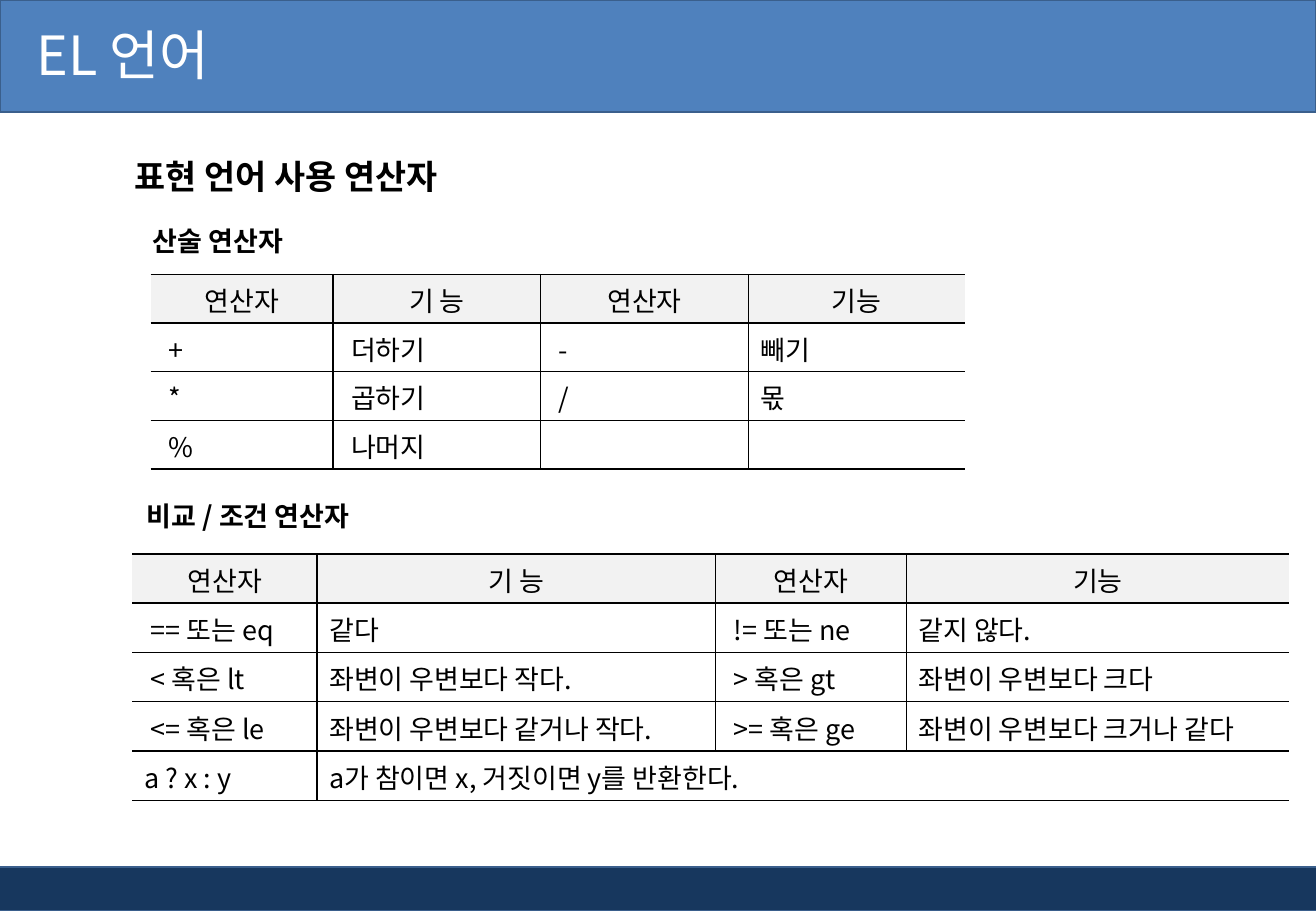
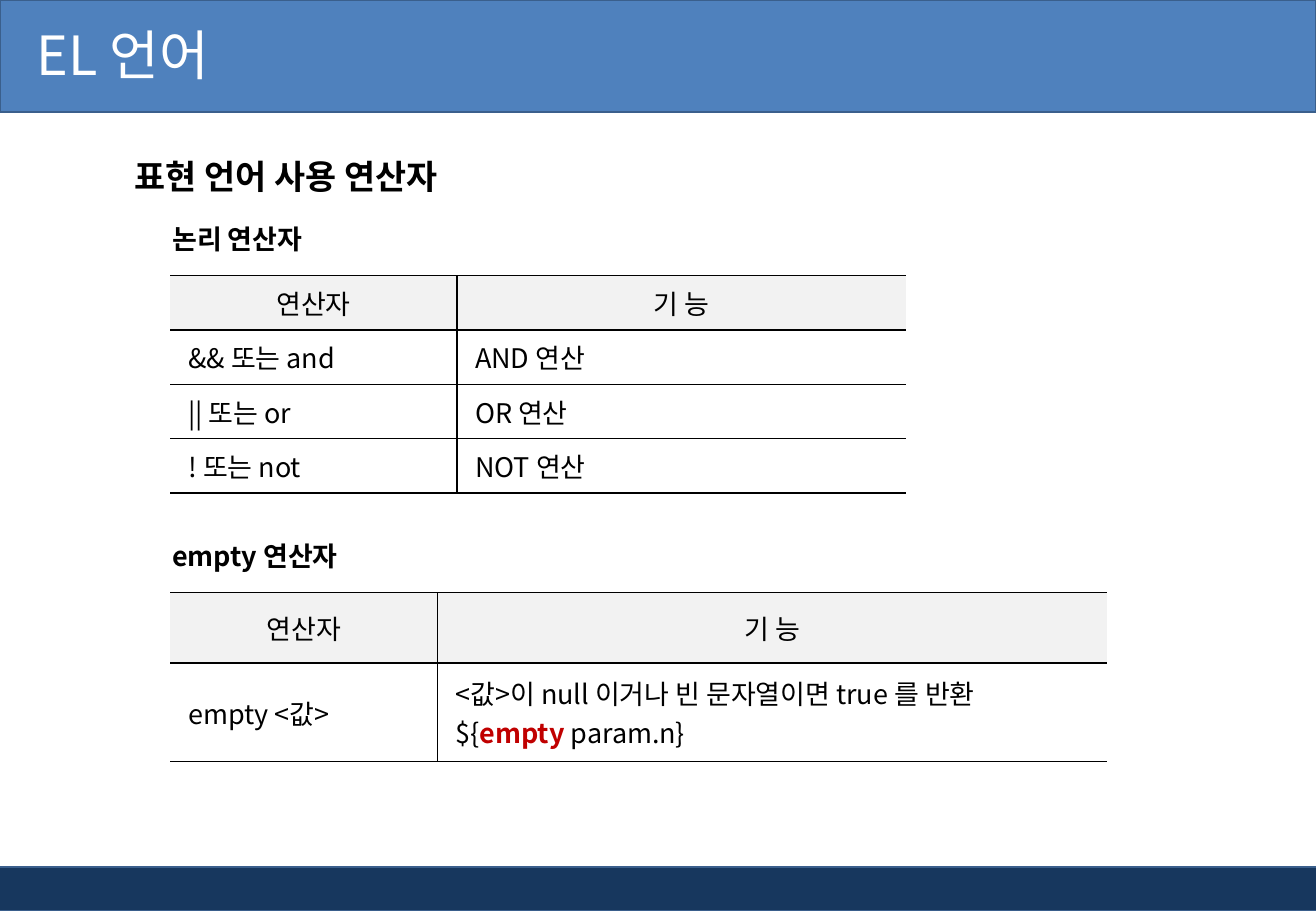
from lxml import etree
from pptx import Presentation
from pptx.dml.color import RGBColor
from pptx.enum.shapes import MSO_SHAPE
from pptx.enum.text import MSO_ANCHOR, MSO_AUTO_SIZE, PP_ALIGN
from pptx.oxml.ns import qn
from pptx.util import Inches, Pt

RECTANGLE = MSO_SHAPE.RECTANGLE
MIDDLE = MSO_ANCHOR.MIDDLE
TOP = MSO_ANCHOR.TOP
CENTER = PP_ALIGN.CENTER
LEFT = PP_ALIGN.LEFT
FIT_SHAPE = MSO_AUTO_SIZE.SHAPE_TO_FIT_TEXT

BLUE = RGBColor(0x4F, 0x81, 0xBD)
NAVY = RGBColor(0x17, 0x37, 0x5E)
OUTLINE = RGBColor(0x3A, 0x5F, 0x8C)
WHITE = RGBColor(0xFF, 0xFF, 0xFF)
BLACK = RGBColor(0x00, 0x00, 0x00)
RED = RGBColor(0xC0, 0x00, 0x00)
HEADER_GRAY = RGBColor(0xF2, 0xF2, 0xF2)

FONT = "Noto Sans CJK KR"
BODY_SIZE = 16
MARGIN = 0.1
INDENT = 0.15


def format_run(run, size=BODY_SIZE, color=BLACK, bold=False):
    """Give a run its Latin and East Asian font, size, colour and weight."""
    font = run.font
    font.size = Pt(size)
    font.bold = bold
    font.color.rgb = color
    font.name = FONT
    latin = run._r.get_or_add_rPr().find(qn("a:latin"))
    east_asian = etree.Element(qn("a:ea"), typeface=FONT)
    latin.addnext(east_asian)


def add_band(slide, box, color):
    """Draw a full-width outlined band."""
    band = slide.shapes.add_shape(RECTANGLE, *map(Inches, box))
    band.shadow.inherit = False
    band.fill.solid()
    band.fill.fore_color.rgb = color
    band.line.color.rgb = OUTLINE
    band.line.width = Pt(1)


def add_text(slide, box, text, size=BODY_SIZE, color=BLACK, bold=True,
             spacing=None, anchor=TOP, left_margin=MARGIN):
    """Add a one-line text box."""
    text_frame = slide.shapes.add_textbox(*map(Inches, box)).text_frame
    text_frame.word_wrap = True
    text_frame.vertical_anchor = anchor
    text_frame.margin_left = Inches(left_margin)
    if anchor == TOP:
        text_frame.auto_size = FIT_SHAPE
    text_frame.text = text
    paragraph = text_frame.paragraphs[0]
    if spacing:
        paragraph.line_spacing = spacing
    format_run(paragraph.runs[0], size, color, bold)


def set_borders(cell, has_left, has_right):
    """Rule the top and bottom of a cell and the chosen sides."""
    properties = cell._tc.get_or_add_tcPr()
    edges = {"L": has_left, "R": has_right, "T": True, "B": True}
    for edge, visible in edges.items():
        line = etree.SubElement(properties, qn(f"a:ln{edge}"), w=str(Pt(1)))
        if visible:
            fill = etree.SubElement(line, qn("a:solidFill"))
            etree.SubElement(fill, qn("a:srgbClr"), val=str(BLACK))
        else:
            etree.SubElement(line, qn("a:noFill"))


def add_operator_table(slide, left, top, widths, heights, rows, indented):
    """Add a ruled table whose short rows stretch their last cell to the edge."""
    column_count = len(widths)
    frame = slide.shapes.add_table(
        len(rows), column_count, Inches(left), Inches(top),
        Inches(sum(widths)), Inches(sum(heights)))
    table = frame.table
    for column, width in zip(table.columns, widths):
        column.width = Inches(width)
    for row, height in zip(table.rows, heights):
        row.height = Inches(height)
    for row_index, texts in enumerate(rows):
        if len(texts) < column_count:
            table.cell(row_index, len(texts) - 1).merge(
                table.cell(row_index, column_count - 1))
        for column_index in range(column_count):
            cell = table.cell(row_index, column_index)
            spanned = cell.is_spanned
            end = column_index + cell.span_width
            set_borders(cell, column_index > 0 and not spanned,
                        end < column_count and not spanned)
            is_header = row_index == 0
            if is_header:
                cell.fill.solid()
                cell.fill.fore_color.rgb = HEADER_GRAY
            else:
                cell.fill.background()
            cell.vertical_anchor = MIDDLE
            is_indented = not is_header and column_index in indented
            cell.margin_left = Inches(INDENT if is_indented else MARGIN)
            if spanned:
                continue
            cell.text_frame.text = texts[column_index]
            for paragraph in cell.text_frame.paragraphs:
                paragraph.alignment = CENTER if is_header else LEFT
                paragraph.font.size = Pt(BODY_SIZE)
                for run in paragraph.runs:
                    format_run(run)
    return table


def add_operator_slide(presentation):
    """Add a slide with the shared bands, title and heading."""
    slide = presentation.slides.add_slide(presentation.slide_layouts[6])
    add_band(slide, (-0.04, 7.14, 10.88, 0.36), NAVY)
    add_band(slide, (0, 0, 10.83, 0.92), BLUE)
    add_text(slide, (0, -0.03, 8.74, 0.94), "EL 언어", 32, WHITE, False,
             anchor=MIDDLE, left_margin=0.3)
    add_text(slide, (1.01, 1.07, 3.31, 0.61), "표현 언어 사용 연산자", 20,
             spacing=1.5)
    return slide


def build_arithmetic_and_comparison(presentation):
    """Build the slide of arithmetic, comparison and conditional operators."""
    slide = add_operator_slide(presentation)
    header = ("연산자", "기 능", "연산자", "기능")
    add_text(slide, (1.16, 1.8, 1.65, 0.37), "산술 연산자")
    add_operator_table(
        slide, 1.24, 2.26, (1.5, 1.71, 1.71, 1.78), [0.4] * 4,
        (header,
         ("+", "더하기", "-", "빼기"),
         ("*", "곱하기", "/", "몫"),
         ("%", "나머지", "", "")),
        indented=(0, 1, 2))
    add_text(slide, (1.11, 4.06, 2.44, 0.37), "비교 / 조건 연산자")
    comparison = add_operator_table(
        slide, 1.09, 4.56, (1.52, 3.28, 1.57, 3.15), [2.03 / 5] * 5,
        (header,
         ("== 또는 eq", "같다", "!= 또는 ne", "같지 않다."),
         ("< 혹은 lt", "좌변이 우변보다 작다.", "> 혹은 gt", "좌변이 우변보다 크다"),
         ("<= 혹은 le", "좌변이 우변보다 같거나 작다.", ">= 혹은 ge",
          "좌변이 우변보다 크거나 같다"),
         ("a ? x : y", "a가 참이면 x, 거짓이면 y를 반환한다.")),
        indented=(0, 2))
    comparison.cell(4, 0).margin_left = Inches(MARGIN)


def build_logic_and_empty(presentation):
    """Build the slide of logical operators and the empty operator."""
    slide = add_operator_slide(presentation)
    header = ("연산자", "기 능")
    add_text(slide, (1.32, 1.78, 2.44, 0.37), "논리 연산자")
    add_operator_table(
        slide, 1.4, 2.27, (2.36, 3.7), [1.79 / 4] * 4,
        (header,
         ("&& 또는 and", "AND 연산"),
         ("|| 또는 or", "OR 연산"),
         ("! 또는 not", "NOT 연산")),
        indented=(0, 1))
    add_text(slide, (1.32, 4.39, 2.44, 0.37), "empty 연산자")
    empty_table = add_operator_table(
        slide, 1.4, 4.88, (2.2, 5.51), (0.58, 0.81),
        (header,
         ("empty <값>", "<값>이 null 이거나 빈 문자열이면 true 를 반환\n${")),
        indented=(0, 1))
    example = empty_table.cell(1, 1).text_frame.paragraphs[1]
    for text, color, bold in (("empty ", RED, True), ("param.n}", BLACK, False)):
        run = example.add_run()
        run.text = text
        format_run(run, color=color, bold=bold)


def main():
    """Build and save the presentation."""
    presentation = Presentation()
    presentation.slide_width = Inches(10.83)
    presentation.slide_height = Inches(7.5)
    build_arithmetic_and_comparison(presentation)
    build_logic_and_empty(presentation)
    presentation.save("out.pptx")


if __name__ == "__main__":
    main()
